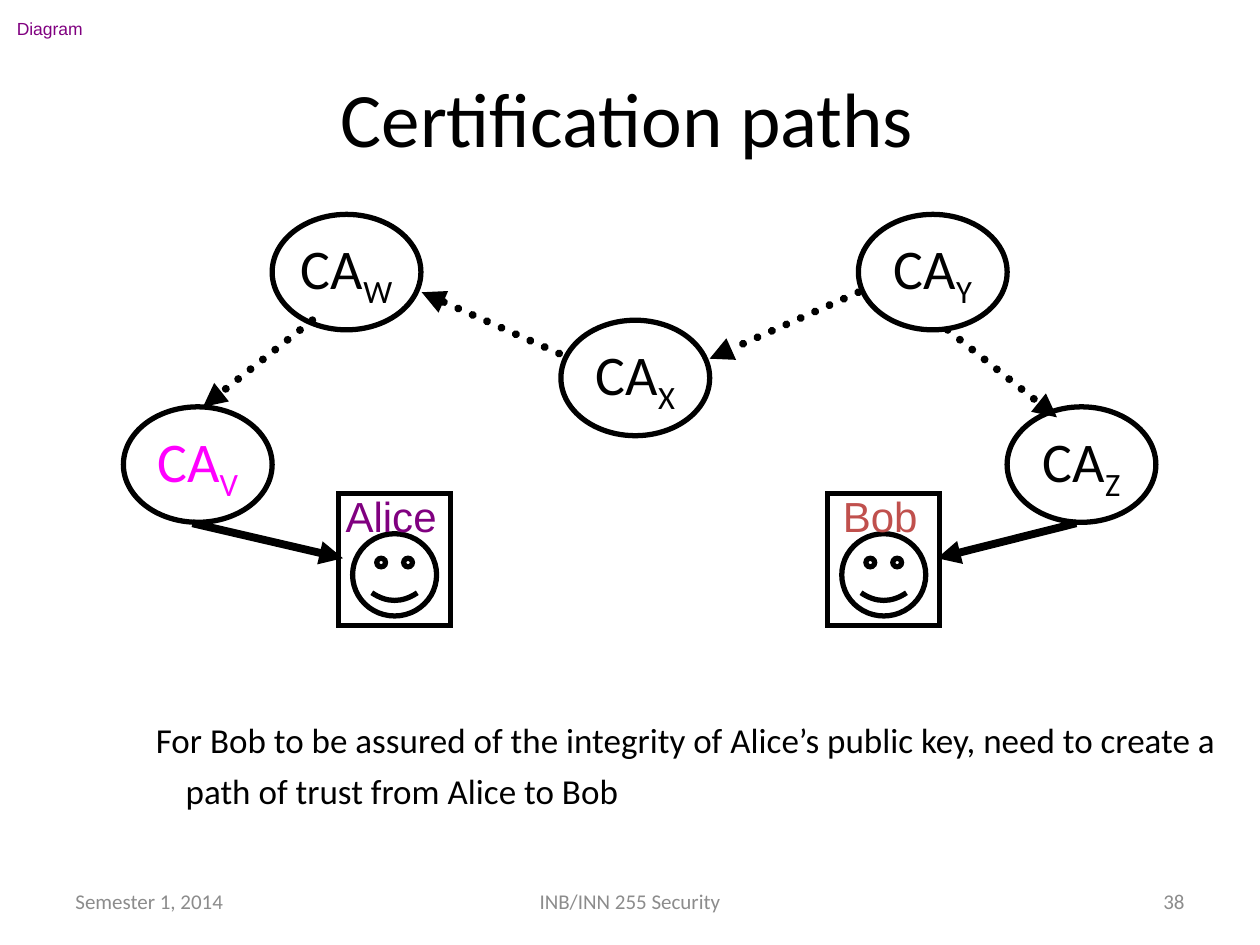
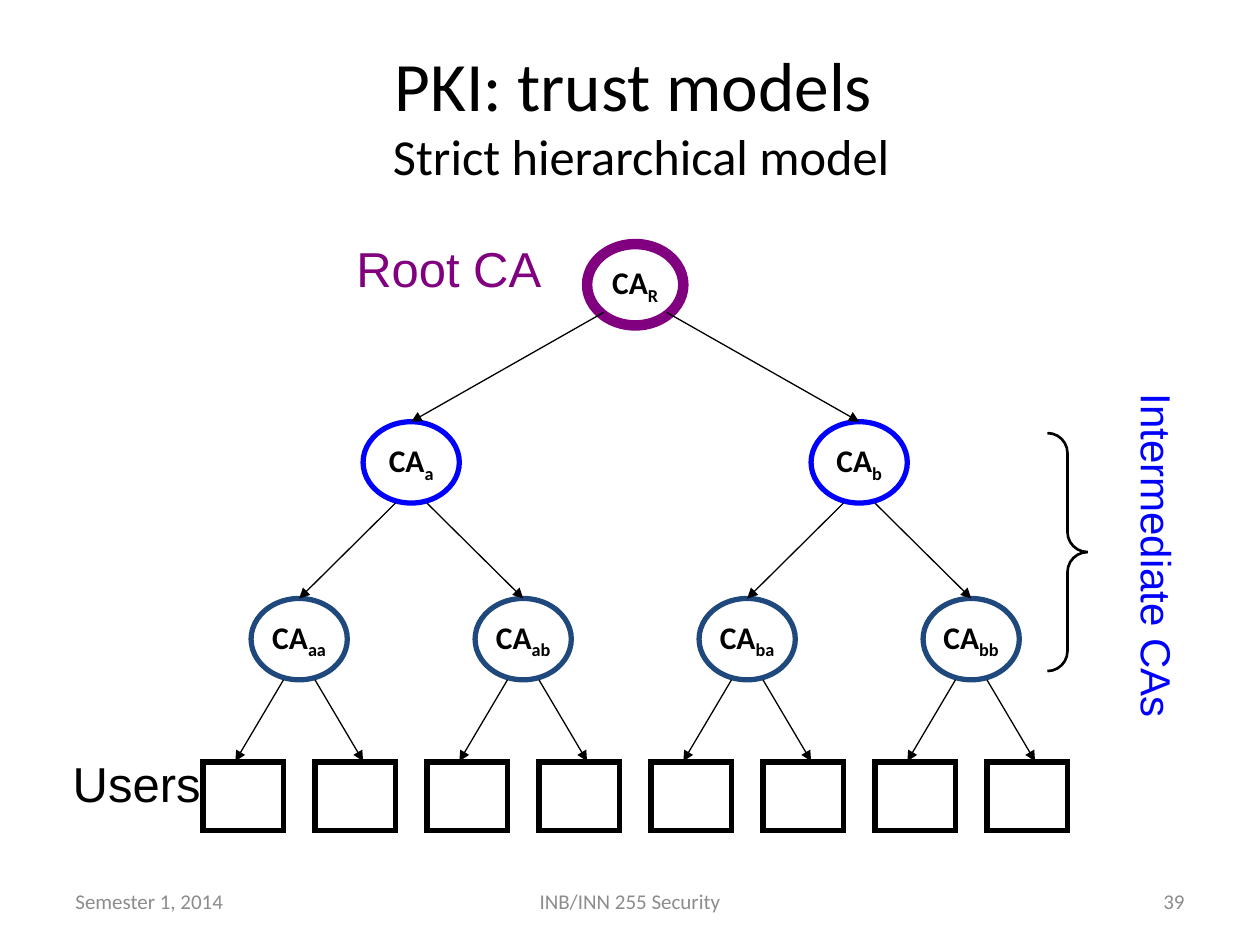
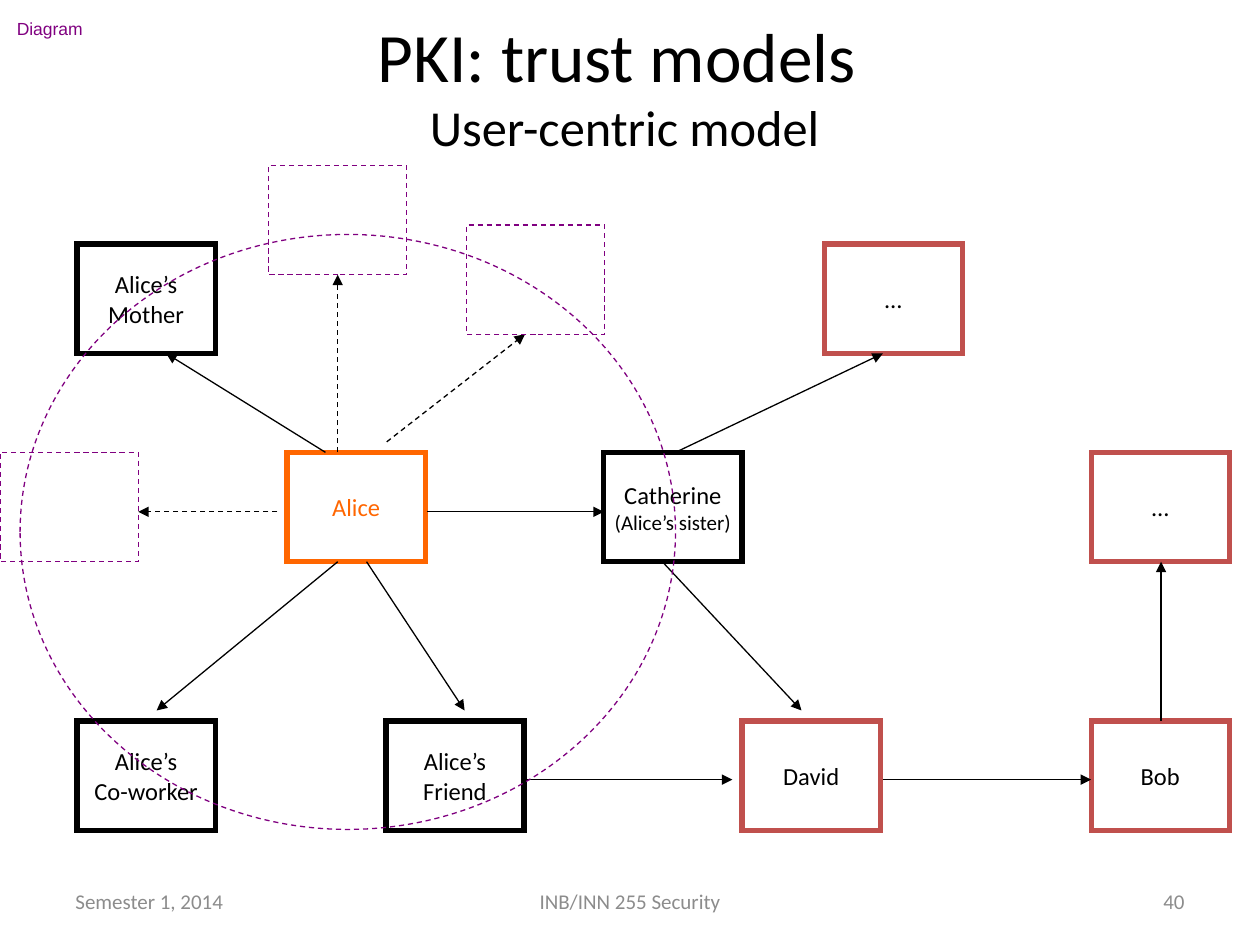
from itertools import cycle
from typing import NamedTuple

from lxml.etree import SubElement
from pptx import Presentation
from pptx.dml.color import RGBColor
from pptx.enum.dml import MSO_LINE as DASH
from pptx.enum.shapes import MSO_CONNECTOR, MSO_SHAPE as SHAPE
from pptx.enum.text import MSO_ANCHOR as ANCHOR, PP_ALIGN as ALIGN
from pptx.oxml.ns import qn
from pptx.util import Pt

BLACK, GREY = "000000", "8C8C8C"
PURPLE, MAGENTA, BLUE, NAVY = "800080", "FF00FF", "0000FF", "1F497D"
RED, ORANGE = "C0504D", "FF6600"
BODY_FONT, LABEL_FONT = "Calibri", "Arial"


class Box(NamedTuple):
    left: float
    top: float
    width: float
    height: float

    def inner(self, left, top, width, height):
        """A box placed relative to this one."""
        return Box(self.left + left, self.top + top, width, height)

    def points(self):
        return [Pt(length) for length in self]


PAGE = Box(0, 0, 720, 540)


def rgb(value):
    return RGBColor.from_string(value)


# Text

def style_span(span, size, color, font=BODY_FONT, bold=False):
    span.font.size = Pt(size)
    span.font.name = font
    span.font.bold = bold
    span.font.color.rgb = rgb(color)


def fill_text(frame, text, sizes, color=BLACK, font=BODY_FONT, bold=False,
              align=ALIGN.CENTER, anchor=ANCHOR.MIDDLE, wrap=False):
    """Write the paragraphs of a text, taking their sizes in turn."""
    frame.text = text
    frame.word_wrap = wrap
    frame.vertical_anchor = anchor
    for para, size in zip(frame.paragraphs, cycle(sizes)):
        para.alignment = align
        for span in para.runs:
            style_span(span, size, color, font, bold)


def add_text(page, box, text, sizes, **style):
    text_box = page.shapes.add_textbox(*box.points())
    fill_text(text_box.text_frame, text, sizes, **style)
    return text_box


def add_label(page, box, text, size, color, align=ALIGN.LEFT):
    return add_text(page, box, text, [size], color=color, font=LABEL_FONT,
                    align=align, anchor=ANCHOR.TOP)


# Outlines and arrows

def style_line(line, color, weight, dash=None):
    line.color.rgb = rgb(color)
    line.width = Pt(weight)
    if dash:
        line.dash_style = dash


def add_outline(page, kind, box, color=BLACK, weight=3, dash=None):
    shape = page.shapes.add_shape(kind, *box.points())
    shape.shadow.inherit = False
    shape.fill.background()
    style_line(shape.line, color, weight, dash)
    SubElement(shape.line._get_or_add_ln(), qn("a:miter"), lim="800000")
    return shape


def add_arrow(page, box, start, end, weight=0.75, dash=None):
    """Draw an arrow between two points given relative to the box."""
    ends = [Pt(value) for x, y in (start, end)
            for value in (box.left + x, box.top + y)]
    arrow = page.shapes.add_connector(MSO_CONNECTOR.STRAIGHT, *ends)
    style_line(arrow.line, BLACK, weight, dash)
    outline = arrow.line._get_or_add_ln()
    if dash == DASH.ROUND_DOT:
        outline.set("cap", "rnd")
    SubElement(outline, qn("a:tailEnd"), type="triangle")
    SubElement(arrow._element.spPr, qn("a:effectLst"))


def add_authority(page, box, subscript, size, text_color=BLACK, bold=False,
                  **line):
    """An ellipse named CA with a subscript."""
    ellipse = add_outline(page, SHAPE.OVAL, box, **line)
    frame = ellipse.text_frame
    fill_text(frame, "CA", [size], color=text_color, bold=bold)
    span = frame.paragraphs[0].add_run()
    span.text = subscript
    style_span(span, size, text_color, bold=bold)
    span.font._element.set("baseline", "-25000")


# Parts shared by the slides

def add_page(deck, number, title, title_box, sizes, tagged=False):
    page = deck.slides.add_slide(deck.slide_layouts[6])
    footer = ((36, 168, "Semester 1, 2014", ALIGN.LEFT),
              (246, 228, "INB/INN 255 Security", ALIGN.CENTER),
              (516, 168, str(number), ALIGN.RIGHT))
    for left, width, text, align in footer:
        add_text(page, PAGE.inner(left, 500.5, width, 28.5), text, [12],
                 color=GREY, align=align, wrap=True)
    heading = add_text(page, title_box, title, sizes, wrap=True).text_frame
    heading.margin_left = heading.margin_right = 0
    heading.margin_top = heading.margin_bottom = 0
    if tagged:
        add_label(page, PAGE.inner(2.5, 7, 60, 19.5), "Diagram", 10, PURPLE)
    return page


# Certification paths

def add_person(page, box, name, color):
    add_outline(page, SHAPE.SMILEY_FACE,
                box.inner(8, 23, 48, 47)).adjustments[0] = 0.047
    # The name box is wider than the card, so that the name stays on one line
    add_label(page, box.inner(-6, -5.5, 72, 36), name, 24, color, ALIGN.CENTER)
    add_outline(page, SHAPE.RECTANGLE, box)


def add_paths(page, box):
    authorities = (("V", 0, 110, MAGENTA), ("W", 85, 0, BLACK),
                   ("X", 250, 60.5, BLACK), ("Y", 420, 0, BLACK),
                   ("Z", 505, 110, BLACK))
    for subscript, left, top, color in authorities:
        add_authority(page, box.inner(left, top, 85, 66), subscript, 32, color)
    add_person(page, box.inner(123, 159.5, 64, 75.5), "Alice", PURPLE)
    add_person(page, box.inner(402.5, 159.5, 64, 75.5), "Bob", RED)

    # Trust between authorities is dotted, certificates of users are solid
    trust = (((108, 60.5), (45.5, 110)), ((471, 66), (533.5, 116)),
             ((249, 79.5), (170.5, 44.5)), ((420, 44.5), (335, 82.5)))
    for start, end in trust:
        add_arrow(page, box, start, end, 4.5, DASH.ROUND_DOT)
    for start, end in (((39.5, 176.5), (125.5, 196.5)),
                       ((544.5, 176.5), (465, 196.5))):
        add_arrow(page, box, start, end, 4.5)


def add_explanation(page, box):
    text = ("For Bob to be assured of the integrity of Alice’s public key, "
            "need to create a path of trust from Alice to Bob")
    text_box = add_text(page, box, text, [20], align=ALIGN.LEFT, wrap=True)
    para = text_box.text_frame.paragraphs[0]
    para.line_spacing = 1.22
    indents = para._p.get_or_add_pPr()
    indents.set("marL", str(Pt(85)))
    indents.set("indent", str(Pt(-17)))


# Strict hierarchical model

def add_hierarchy(page, box):
    # Users
    slot = box.width / 8
    for index in range(8):
        left = slot * (index + 0.5) - 23
        add_outline(page, SHAPE.RECTANGLE, box.inner(left, 296, 46, 39))

    # Subscripts, top, colour, weight, arrow start (x, y) and arrow end (x, y)
    levels = ((("aa", "ab", "ba", "bb"), 202.5, NAVY, 3, (9, 46.5), (36.5, 93)),
              (("a", "b"), 101.5, BLUE, 3, (9, 46.5), (64, 101)),
              (("R",), 0, PURPLE, 6, (18, 39), (128, 101.5)))
    for subscripts, top, color, weight, start, end in levels:
        slot = box.width / len(subscripts)
        for index, subscript in enumerate(subscripts):
            center = slot * (index + 0.5)
            add_authority(page, box.inner(center - 27.5, top, 55, 46.5),
                          subscript, 18, bold=True, color=color, weight=weight)
            for side in (-1, 1):
                add_arrow(page, box,
                          (center + side * start[0], top + start[1]),
                          (center + side * end[0], top + end[1]))


def add_level_names(page, box):
    add_label(page, box.inner(89.5, -7, 120, 41), "Root CA", 28, PURPLE)
    add_label(page, box.inner(-72.5, 287.5, 88, 41), "Users", 28, BLACK)
    brace = add_outline(page, SHAPE.RIGHT_BRACE,
                        box.inner(491.5, 108, 23, 136), weight=1.5)
    brace.adjustments[0] = 0.498
    name = add_label(page, box.inner(454.5, 160, 200, 36), "Intermediate CAs",
                     24, BLUE, ALIGN.CENTER)
    name.rotation = 90


# User-centric model

def add_web_of_trust(page, box):
    width, height = 79, 62.5
    high, middle, low = 45, 164, 317.5
    people = (("Alice’s\nCo-worker", 44, low, BLACK),
              ("Alice", 164, middle, ORANGE),
              ("Alice’s\nMother", 44, high, BLACK),
              ("Alice’s\nFriend", 220.5, low, BLACK),
              ("Catherine\n(Alice’s sister)", 345, middle, BLACK),
              ("David", 424, low, RED), ("Bob", 623.5, low, RED),
              ("…", 471, high, RED), ("…", 623.5, middle, RED))
    for name, left, top, color in people:
        card = add_outline(page, SHAPE.RECTANGLE,
                           box.inner(left, top, width, height), color)
        sizes = (14, 12) if "sister" in name else (14,)
        fill_text(card.text_frame, name, sizes,
                  color=ORANGE if color == ORANGE else BLACK)

    # Known links
    below, low_end = middle + height, low - 6
    links = (((193, below), (89.5, low_end)),
             ((186, middle), (95, high + height)),
             ((209.5, below), (265.5, low_end)),
             ((378.5, below), (458, low_end)),
             ((244, 198), (345, 198)),
             ((299.5, 351), (418.5, 351)),
             ((504.5, 351), (623.5, 351)),
             ((386, middle), (504.5, high + height)),
             ((663.5, low), (663.5, below)))
    for start, end in links:
        add_arrow(page, box, start, end)

    # Possible links, and Alice's circle of trust
    for start, end in (((158.5, 198), (width, 198)),
                       ((193, middle), (193, height)),
                       ((221, 158), (300, 96.5))):
        add_arrow(page, box, start, end, dash=DASH.DASH)
    add_outline(page, SHAPE.OVAL, box.inner(11.5, 39.5, 374.5, 340),
                PURPLE, 0.75, DASH.DASH)
    for left, top in ((153.5, 0), (266.5, 34), (0, middle)):
        add_outline(page, SHAPE.RECTANGLE, box.inner(left, top, width, height),
                    PURPLE, 0.75, DASH.DASH)


def main():
    deck = Presentation()
    deck.slide_width, deck.slide_height = Pt(PAGE.width), Pt(PAGE.height)

    page = add_page(deck, 38, "Certification paths",
                    Box(16.5, 21.5, 684, 90), [44], tagged=True)
    add_paths(page, Box(70.5, 122.5, 590, 235.5))
    add_explanation(page, Box(14, 391, 706, 87))

    model_sizes = (39.6, 28.8)
    page = add_page(deck, 39, "PKI: trust models \nStrict hierarchical model",
                    Box(42.5, 20, 648, 90), model_sizes)
    tree = Box(107, 139.5, 512, 335)
    add_hierarchy(page, tree)
    add_level_names(page, tree)

    page = add_page(deck, 40, "PKI: trust models \nUser-centric model",
                    Box(42, 3.5, 630, 90), model_sizes, tagged=True)
    add_web_of_trust(page, Box(0, 94.5, 702.5, 380))

    deck.save("out.pptx")


if __name__ == "__main__":
    main()
